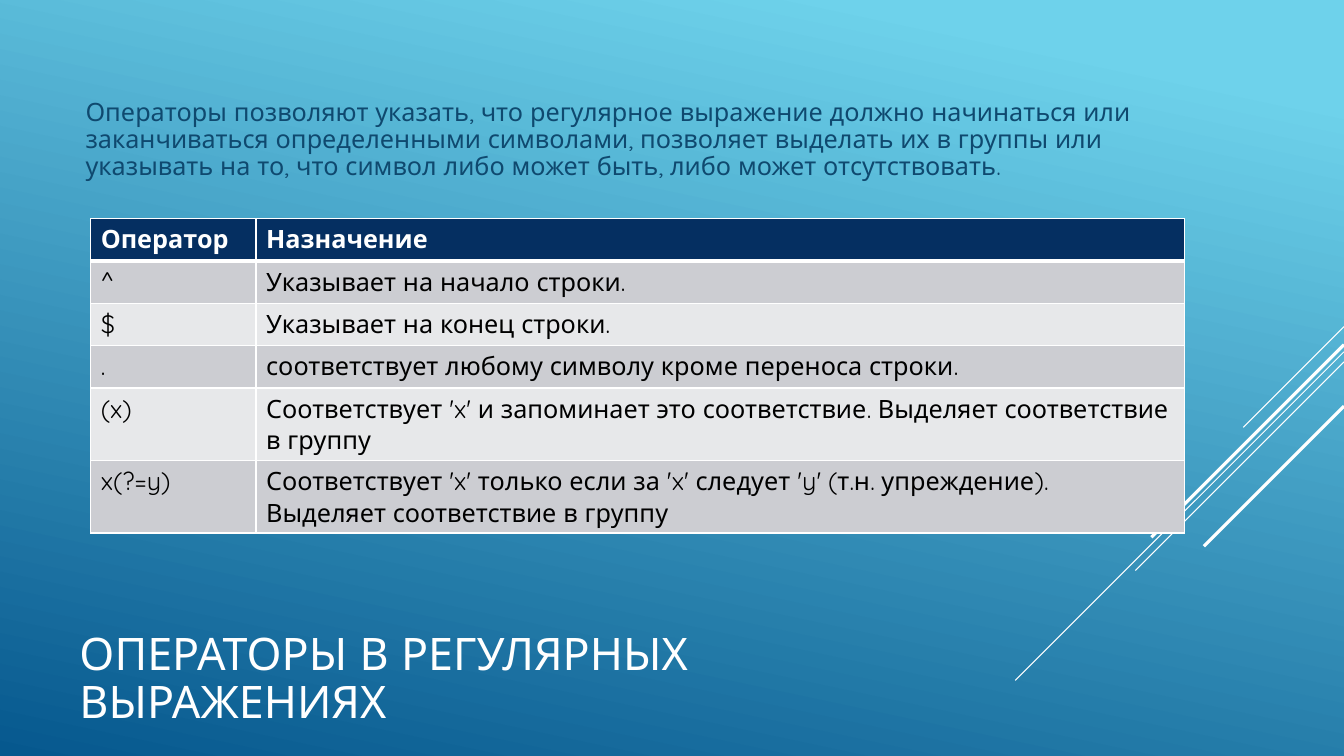
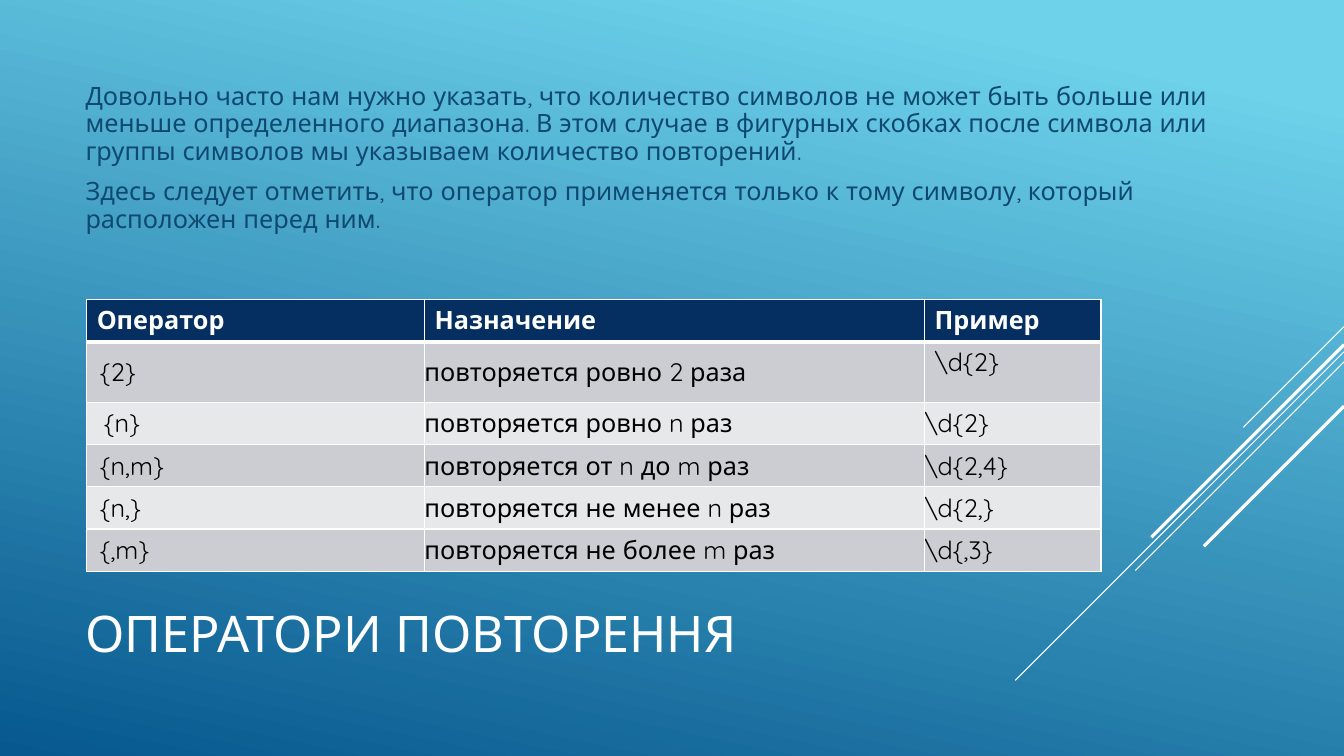
from lxml import etree
from pptx import Presentation
from pptx import util as u
from pptx.dml.color import RGBColor
from pptx.enum import shapes, text
from pptx.oxml import ns

FONT = "Quicksand"
WHITE, BLACK, BODY_BLUE = "FFFFFF", "000000", "0F496F"
HEADER_FILL, BAND_FILLS = "052F61", ("CCCDD2", "E7E8EA")
GRADIENT = ((0.1, "6ED2EB"), (1, "06588E"))
GRADIENT_ANGLE = 102
SLIDE_WIDTH, SLIDE_HEIGHT = 13.33, 7.5
DIAGONALS = ((3.24, 1, 0.75), (3.49, 3.26, 0.75), (3.59, 2.07, 0.75),
             (3.42, 1.91, 2.25), (4.03, 1.39, 2.25))

SLIDES = [
    {
        "title": "ОПЕРАТОРЫ В РЕГУЛЯРНЫХ ВЫРАЖЕНИЯХ",
        "title_box": (0.69, 6.32, 9.33, 0.85),
        "title_size": 32,
        "body": [
            "Операторы позволяют указать, что регулярное выражение должно начинаться или "
            "заканчиваться определенными символами, позволяет выделать их в группы или "
            "указывать на то, что символ либо может быть, либо может отсутствовать.",
        ],
        "body_box": (0.75, 0.75, 10.78, 1.28),
        "table_at": (0.9, 2.17),
        "columns": (1.64, 9.21),
        "rows": (0.42, 0.42, 0.42, 0.42, 0.72, 0.72),
        "indents": (0.1, 0.1),
        "anchor": text.MSO_ANCHOR.TOP,
        "top_cells": {},
        "cells": [
            ("Оператор", "Назначение"),
            ("^", "Указывает на начало строки."),
            ("$", "Указывает на конец строки."),
            (".", "соответствует любому символу кроме переноса строки."),
            ("(x)", "Соответствует 'x' и запоминает это соответствие. "
                    "Выделяет соответствие в группу"),
            ("x(?=y)", "Соответствует 'x' только если за 'x' следует 'y' (т.н. упреждение). "
                       "Выделяет соответствие в группу"),
        ],
    },
    {
        "title": "ОПЕРАТОРИ ПОВТОРЕННЯ",
        "title_box": (0.75, 5.49, 9.33, 1.65),
        "title_size": 36,
        "body": [
            "Довольно часто нам нужно указать, что количество символов не может быть больше или "
            "меньше определенного диапазона. В этом случае в фигурных скобках после символа или "
            "группы символов мы указываем количество повторений.",
            "Здесь следует отметить, что оператор применяется только к тому символу, который "
            "расположен перед ним.",
        ],
        "body_box": (0.75, 0.75, 11.56, 1.65),
        "table_at": (0.86, 2.97),
        "columns": (3.35, 4.96, 1.75),
        "rows": (0.42, 0.6, 0.42, 0.42, 0.42, 0.42),
        "indents": (0.13, 0, 0),
        "anchor": text.MSO_ANCHOR.MIDDLE,
        "top_cells": {(1, 2): 0.1, (2, 0): 0.17},
        "cells": [
            ("Оператор", "Назначение", "Пример"),
            ("{2}", "повторяется ровно 2 раза", r"\d{2}"),
            ("{n}", "повторяется ровно n раз", r"\d{2}"),
            ("{n,m}", "повторяется от n до m раз", r"\d{2,4}"),
            ("{n,}", "повторяется не менее n раз", r"\d{2,}"),
            ("{,m}", "повторяется не более m раз", r"\d{,3}"),
        ],
    },
]


def color(value):
    return RGBColor.from_string(value)


def write(frame, paragraphs, size=18, fill=BLACK, bold=False, spacing=1.0, before=0, after=0):
    frame.word_wrap = True
    for index, content in enumerate(paragraphs):
        paragraph = frame.paragraphs[0] if index == 0 else frame.add_paragraph()
        paragraph.line_spacing = spacing
        paragraph.space_before = u.Pt(before if index else 0)
        paragraph.space_after = u.Pt(after)
        run = paragraph.add_run()
        run.text = content
        run.font.name = FONT
        run.font.size = u.Pt(size)
        run.font.bold = bold
        run.font.color.rgb = color(fill)


def add_text(slide, box, paragraphs, **style):
    shape = slide.shapes.add_textbox(*map(u.Inches, box))
    shape.text_frame.vertical_anchor = text.MSO_ANCHOR.MIDDLE
    write(shape.text_frame, paragraphs, spacing=0.9, **style)


def add_diagonals(slide):
    for top, span, width in DIAGONALS:
        ends = (SLIDE_WIDTH, top, SLIDE_WIDTH - span, top + span)
        line = slide.shapes.add_connector(shapes.MSO_CONNECTOR.STRAIGHT, *map(u.Inches, ends))
        line.line.color.rgb = color(WHITE)
        line.line.width = u.Pt(width)
        etree.SubElement(line._element.spPr, ns.qn("a:effectLst"))


def set_borders(cell, row):
    widths = {"L": 1, "R": 1, "T": 3 if row == 1 else 1, "B": 3 if row == 0 else 1}
    properties = cell._tc.get_or_add_tcPr()
    for side, width in widths.items():
        border = etree.SubElement(properties, ns.qn(f"a:ln{side}"), w=str(u.Pt(width)))
        solid = etree.SubElement(border, ns.qn("a:solidFill"))
        etree.SubElement(solid, ns.qn("a:srgbClr"), val=WHITE)


def add_operator_table(slide, data):
    columns, rows = data["columns"], data["rows"]
    box = (*data["table_at"], sum(columns), sum(rows))
    table = slide.shapes.add_table(len(rows), len(columns), *map(u.Inches, box)).table
    table.horz_banding = False
    for column, width in zip(table.columns, columns):
        column.width = u.Inches(width)
    for row, height in enumerate(rows):
        table.rows[row].height = u.Inches(height)
        header = row == 0
        for column, content in enumerate(data["cells"][row]):
            cell = table.cell(row, column)
            at_top = header or (row, column) in data["top_cells"]
            indent = 0.1 if header else data["top_cells"].get((row, column), data["indents"][column])
            cell.vertical_anchor = text.MSO_ANCHOR.TOP if at_top else data["anchor"]
            cell.margin_left = u.Inches(indent)
            set_borders(cell, row)
            cell.fill.solid()
            cell.fill.fore_color.rgb = color(HEADER_FILL if header else BAND_FILLS[(row - 1) % 2])
            write(cell.text_frame, [content], fill=WHITE if header else BLACK, bold=header)


def set_background(master):
    fill = master.background.fill
    fill.gradient()
    fill.gradient_angle = 360 - GRADIENT_ANGLE
    for stop, (position, value) in zip(fill.gradient_stops, GRADIENT):
        stop.position = position
        stop.color.rgb = color(value)


def main():
    presentation = Presentation()
    presentation.slide_width = u.Inches(SLIDE_WIDTH)
    presentation.slide_height = u.Inches(SLIDE_HEIGHT)
    set_background(presentation.slide_master)
    for data in SLIDES:
        slide = presentation.slides.add_slide(presentation.slide_layouts[6])
        add_diagonals(slide)
        add_text(slide, data["title_box"], [data["title"]], size=data["title_size"], fill=WHITE)
        add_text(slide, data["body_box"], data["body"], fill=BODY_BLUE, before=3.6, after=6)
        add_operator_table(slide, data)
    presentation.save("out.pptx")


if __name__ == "__main__":
    main()
